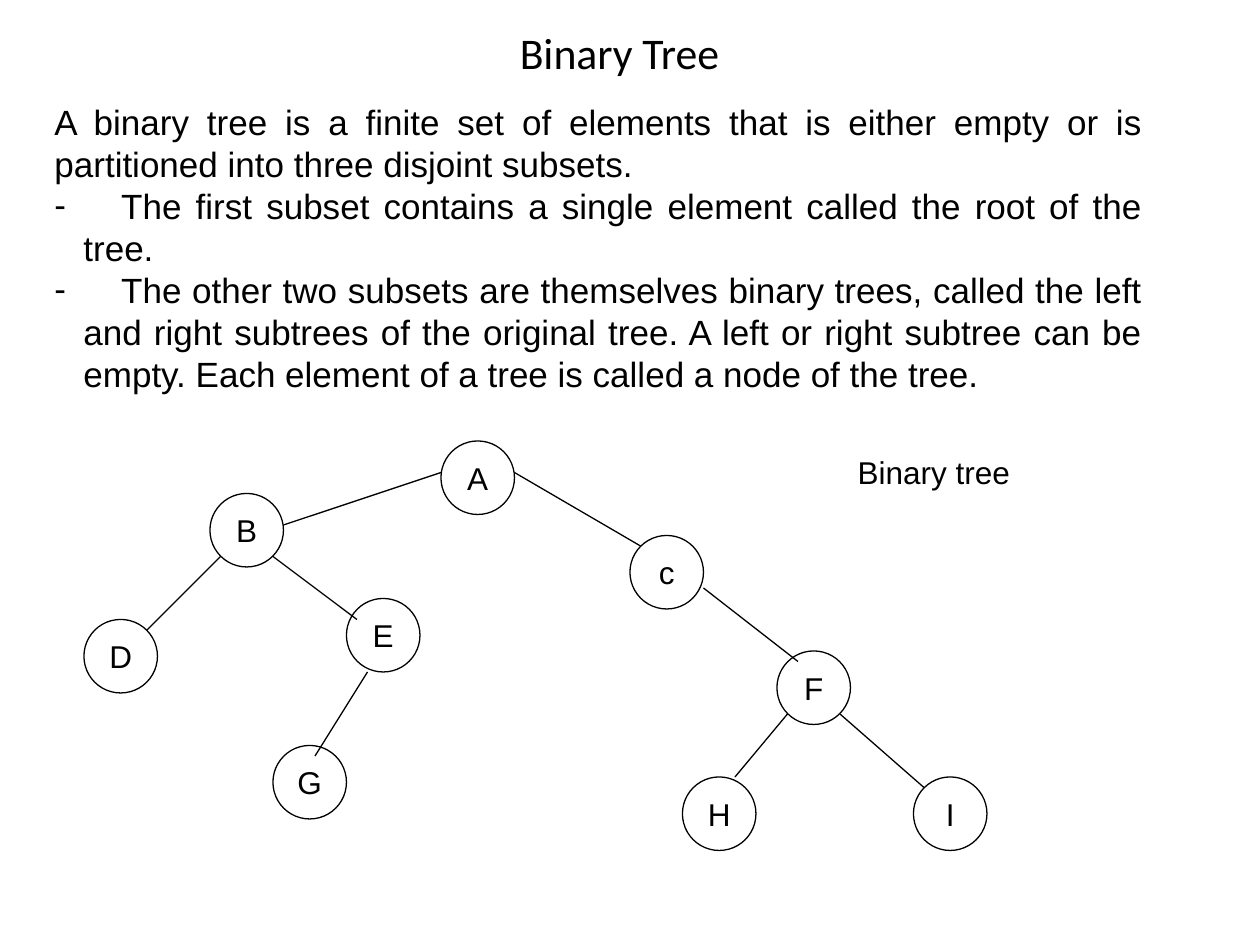
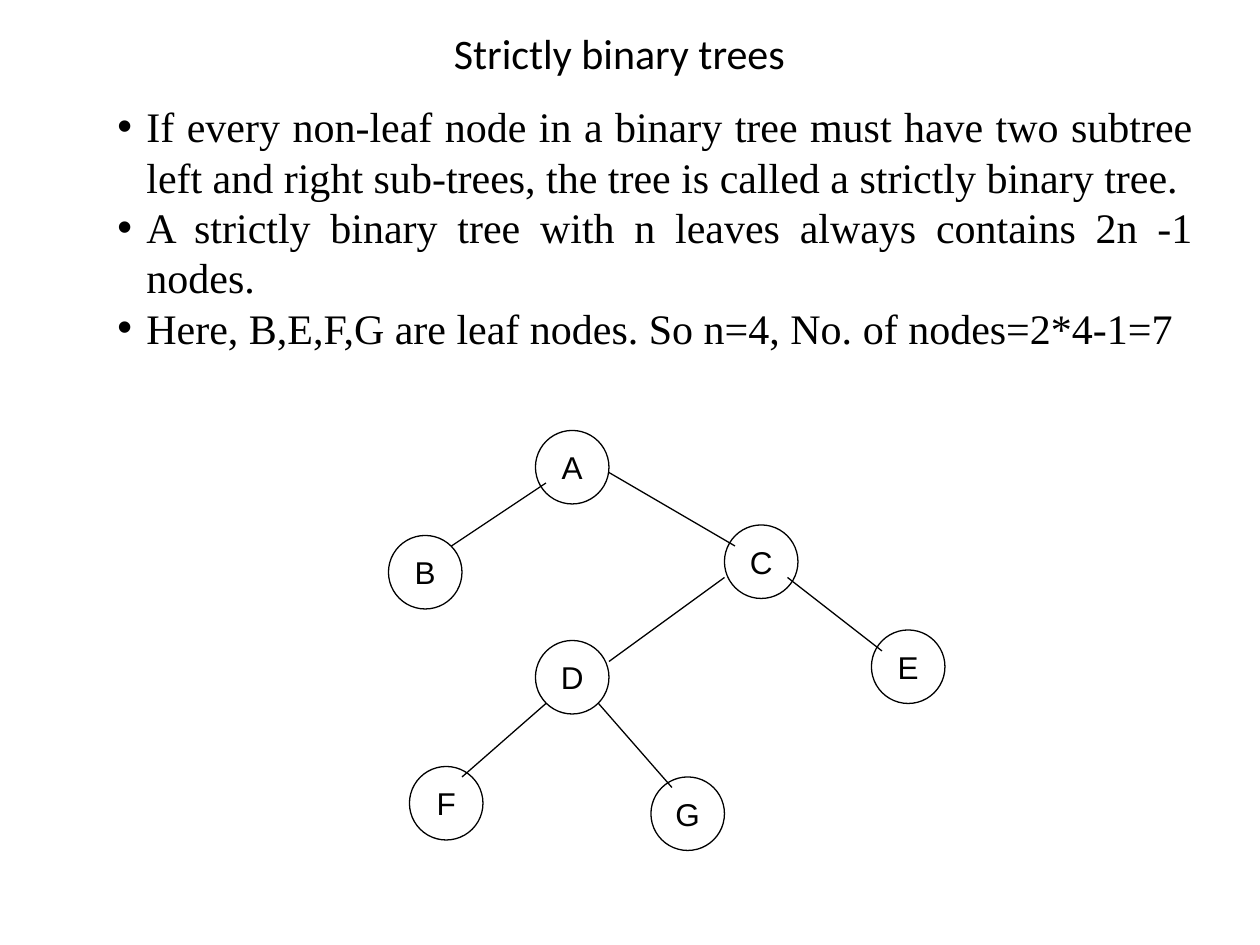
from lxml import etree
from pptx import Presentation
from pptx.dml.color import RGBColor
from pptx.enum.shapes import MSO_CONNECTOR, MSO_SHAPE
from pptx.enum.text import MSO_ANCHOR, MSO_AUTO_SIZE, PP_ALIGN
from pptx.oxml.ns import qn
from pptx.util import Inches, Pt

LEFT, CENTER, JUSTIFY = PP_ALIGN.LEFT, PP_ALIGN.CENTER, PP_ALIGN.JUSTIFY
MIDDLE = MSO_ANCHOR.MIDDLE
BLACK, WHITE = "000000", "FFFFFF"
CELL = Inches(1) / 12  # the slide is a grid of 120 columns by 90 rows
NODE_CELLS = 7
LINE_WIDTH = Pt(0.75)
HANGING = Inches(0.23)
TITLE_BOX = (34, 2, 50, 6)


def grid(*cells):
    """Turn grid columns and rows into lengths."""
    return [round(cell * CELL) for cell in cells]


def format_text(paragraph, font_name, size, alignment):
    paragraph.alignment = alignment
    for run in paragraph.runs:
        run.font.name = font_name
        run.font.size = Pt(size)
        run.font.color.rgb = RGBColor.from_string(BLACK)


# Each node: column and row of its top left corner.
# Each edge: column and row of its start and of its end.
slides = [
    {
        "title": "Binary Tree", "title size": 25,
        "body box": (4, 9, 106, 29.3), "font": "Arial", "size": 20,
        "body": [
            ("", JUSTIFY, "A binary tree is a finite set of elements that is either empty "
             "or is partitioned into three disjoint subsets."),
            ("-", JUSTIFY, "\tThe first subset contains a single element called the root "
             "of the tree."),
            ("-", JUSTIFY, "\tThe other two subsets are themselves binary trees, called the "
             "left and right subtrees of the original tree. A left or right subtree can be "
             "empty. Each element of a tree is called a node of the tree."),
        ],
        "nodes": {"B": (20, 47), "G": (26, 71), "E": (33, 57), "D": (8, 59), "I": (87, 74),
                  "H": (65, 74), "F": (74, 62), "c": (60, 51), "A": (42, 42)},
        "edges": [(42, 45, 27, 50), (21, 53, 14, 60), (35, 64, 30, 72), (26, 53, 34, 59),
                  (49, 45, 61, 52), (67, 56, 76, 63), (75, 68, 70, 74), (80, 68, 88, 75)],
        "caption": "Binary tree",
    },
    {
        "title": "Strictly binary trees", "title size": 24,
        "body box": (10, 9, 104.8, 25.2), "font": "Times New Roman", "size": 24,
        "body": [
            ("•", JUSTIFY, "If every non-leaf node in a binary tree must have two subtree left "
             "and right sub-trees, the tree is called a strictly binary tree."),
            ("•", JUSTIFY, "A strictly binary tree with n leaves always contains 2n -1 nodes."),
            ("•", LEFT, "Here, B,E,F,G are leaf nodes. So n=4, No. of nodes=2*4-1=7"),
        ],
        "nodes": {"B": (37, 51), "D": (51, 61), "G": (62, 74), "F": (39, 73),
                  "E": (83, 60), "C": (69, 50), "A": (51, 41)},
        "edges": [(58, 45, 70, 52), (75, 55, 84, 62), (43, 52, 52, 46),
                  (69, 55, 58, 63), (52, 67, 44, 74), (57, 67, 64, 75)],
        "caption": "",
    },
]

presentation = Presentation()
presentation.slide_width, presentation.slide_height = grid(120, 90)

for content in slides:
    slide = presentation.slides.add_slide(presentation.slide_layouts[5])

    # Title
    title = slide.shapes.title
    title.left, title.top, title.width, title.height = grid(*TITLE_BOX)
    title.text_frame.text = content["title"]
    title.text_frame.auto_size = MSO_AUTO_SIZE.NONE
    title.text_frame.vertical_anchor = MIDDLE
    format_text(title.text_frame.paragraphs[0], "Calibri", content["title size"], CENTER)

    # Definition
    body = slide.shapes.add_textbox(*grid(*content["body box"])).text_frame
    body.word_wrap = True
    body.text = "\n".join(text for _, _, text in content["body"])
    for paragraph, (bullet, alignment, text) in zip(body.paragraphs, content["body"]):
        format_text(paragraph, content["font"], content["size"], alignment)
        if bullet:
            properties = paragraph._p.get_or_add_pPr()
            properties.set("marL", str(HANGING))
            properties.set("indent", str(-HANGING))
            etree.SubElement(properties, qn("a:buFont"), typeface="Arial")
            etree.SubElement(properties, qn("a:buChar"), char=bullet)
            if text.startswith("\t"):
                tabs = etree.SubElement(properties, qn("a:tabLst"))
                etree.SubElement(tabs, qn("a:tab"), pos=str(Inches(0.53)), algn="l")

    # Tree nodes
    tree = slide.shapes.add_group_shape().shapes
    for name, (column, row) in content["nodes"].items():
        node = tree.add_shape(MSO_SHAPE.OVAL, *grid(column, row, NODE_CELLS, NODE_CELLS))
        node.shadow.inherit = False
        node.fill.solid()
        node.fill.fore_color.rgb = RGBColor.from_string(WHITE)
        node.line.color.rgb = RGBColor.from_string(BLACK)
        node.line.width = LINE_WIDTH
        node.text_frame.text = name
        node.text_frame.word_wrap = False
        node.text_frame.vertical_anchor = MIDDLE
        format_text(node.text_frame.paragraphs[0], "Arial", 18, CENTER)

    # Tree edges
    for ends in content["edges"]:
        edge = tree.add_connector(MSO_CONNECTOR.STRAIGHT, *grid(*ends))
        edge.line.color.rgb = RGBColor.from_string(BLACK)
        edge.line.width = LINE_WIDTH
        etree.SubElement(edge._element.spPr, qn("a:effectLst"))

    # Caption beside the tree
    if content["caption"]:
        caption = tree.add_textbox(*grid(80.5, 42.6, 17, 4.8)).text_frame
        caption.word_wrap = False
        caption.text = content["caption"]
        format_text(caption.paragraphs[0], "Arial", 18, LEFT)

presentation.save("out.pptx")
